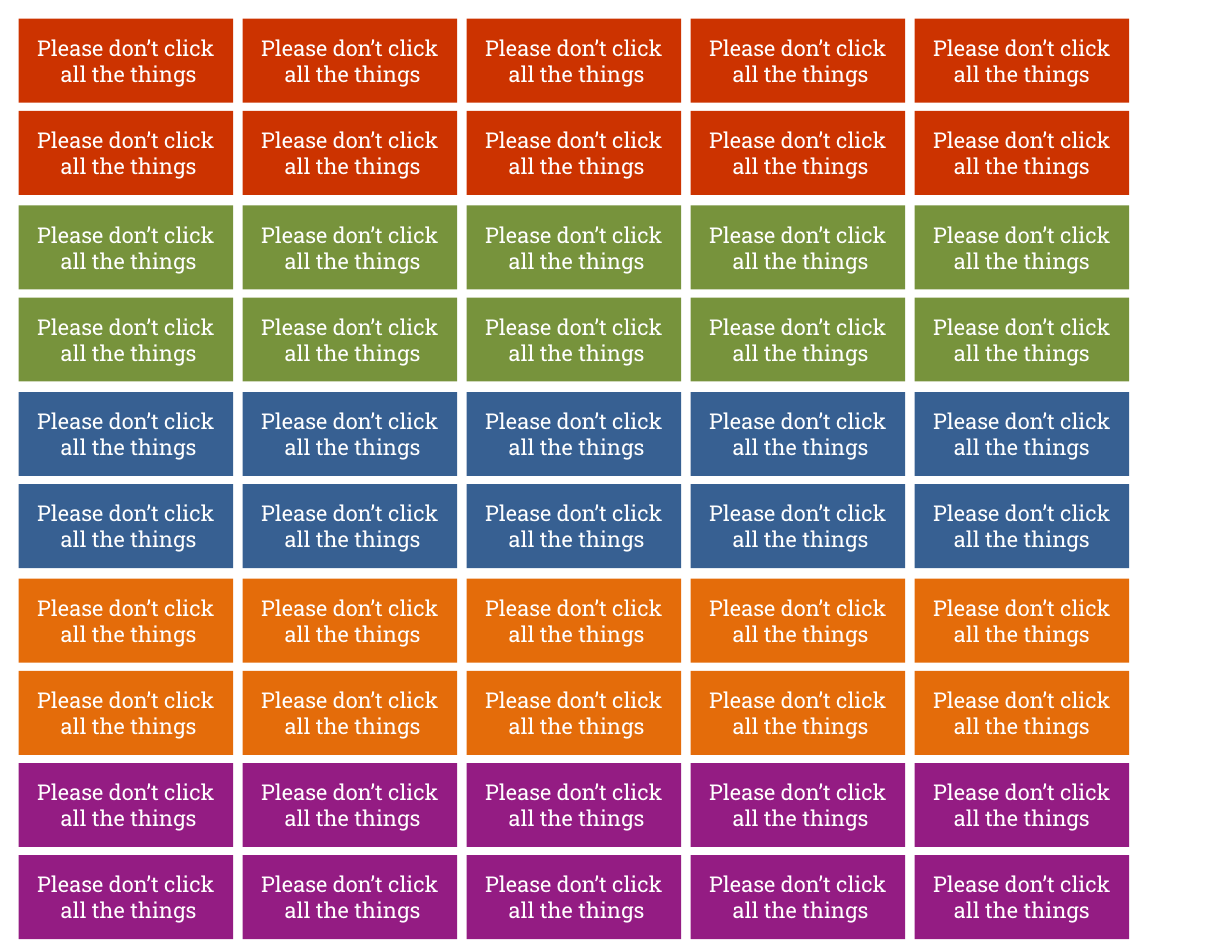
from dataclasses import dataclass
from pptx import Presentation
from pptx.dml.color import RGBColor
from pptx.enum.shapes import MSO_SHAPE as Shape
from pptx.enum.text import MSO_ANCHOR as Anchor, PP_ALIGN as Align
from pptx.util import Pt

RED = RGBColor(0xCC, 0x33, 0x00)
GREEN = RGBColor(0x77, 0x93, 0x3C)
BLUE = RGBColor(0x37, 0x60, 0x92)
ORANGE = RGBColor(0xE4, 0x6C, 0x0A)
PURPLE = RGBColor(0x94, 0x1C, 0x83)
WHITE = RGBColor(0xFF, 0xFF, 0xFF)

LEFT = 12
WIDTH, HEIGHT = 138, 54
COL_STEP, ROW_STEP = 144, 59.25
SPLIT = ["Please don’t click", " all the things"]
WHOLE = ["Please don’t click all the things"]
COLS = [SPLIT, SPLIT, SPLIT, SPLIT, WHOLE]


@dataclass
class Band:
    top: float
    fill: RGBColor


BANDS = [
    Band(12, RED),
    Band(132, GREEN),
    Band(252, BLUE),
    Band(372, ORANGE),
    Band(490.5, PURPLE),
]


def write(frame, lines: list[str], *, font: str, size: float,
          color: RGBColor, align: Align) -> None:
    frame.word_wrap = True
    frame.vertical_anchor = Anchor.MIDDLE
    for i, line in enumerate(lines):
        para = frame.add_paragraph() if i else frame.paragraphs[0]
        para.alignment = align
        run = para.add_run()
        run.text = line
        run.font.name = font
        run.font.size = Pt(size)
        run.font.color.rgb = color


def draw_label(slide, left: float, top: float, fill: RGBColor,
               lines: list[str]) -> None:
    label = slide.shapes.add_shape(
        Shape.RECTANGLE, Pt(left), Pt(top), Pt(WIDTH), Pt(HEIGHT))
    label.shadow.inherit = False
    label.fill.solid()
    label.fill.fore_color.rgb = fill
    label.line.fill.background()
    write(label.text_frame, lines, font="Roboto Slab", size=14,
          color=WHITE, align=Align.CENTER)


def draw_band(slide, band: Band) -> None:
    for row in range(2):
        for col, lines in enumerate(COLS):
            draw_label(slide, LEFT + col * COL_STEP,
                       band.top + row * ROW_STEP, band.fill, lines)


def main() -> None:
    deck = Presentation()
    deck.slide_width, deck.slide_height = Pt(792), Pt(612)
    slide = deck.slides.add_slide(deck.slide_layouts[6])
    for band in BANDS:
        draw_band(slide, band)
    deck.save("out.pptx")


if __name__ == "__main__":
    main()
